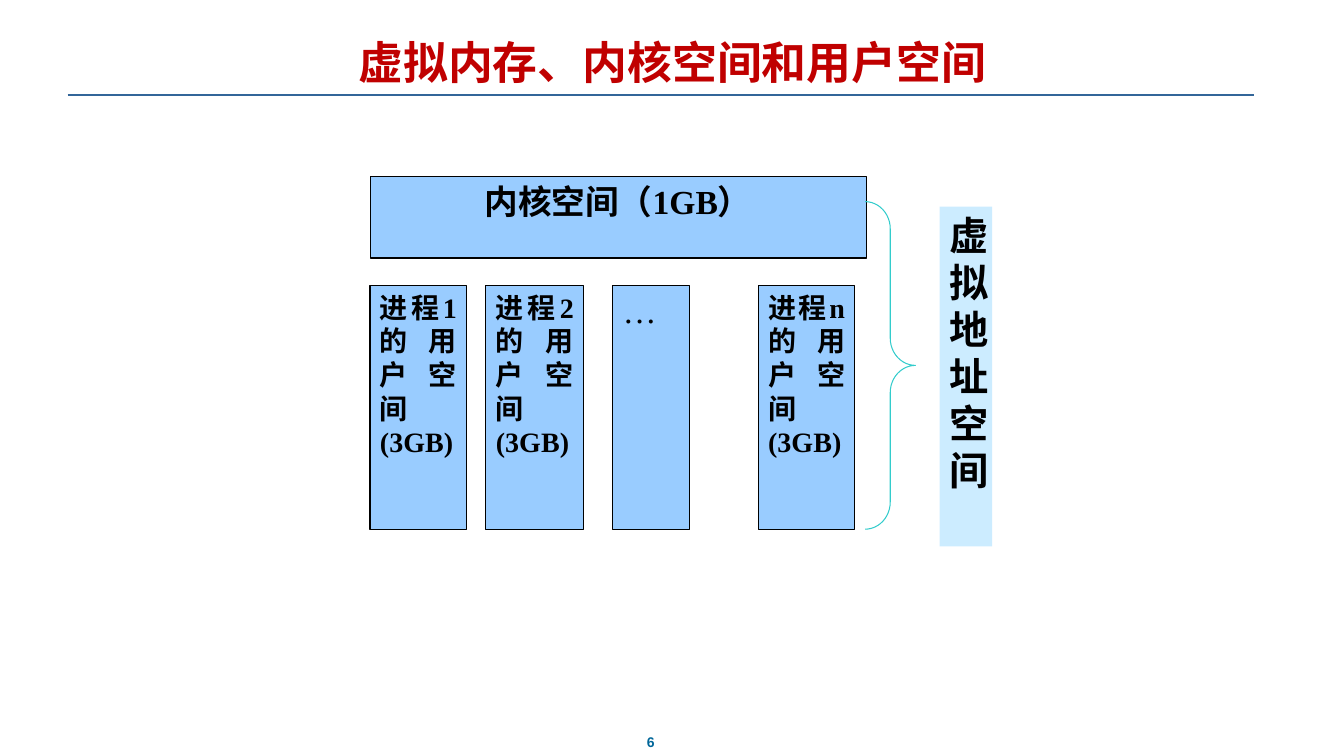
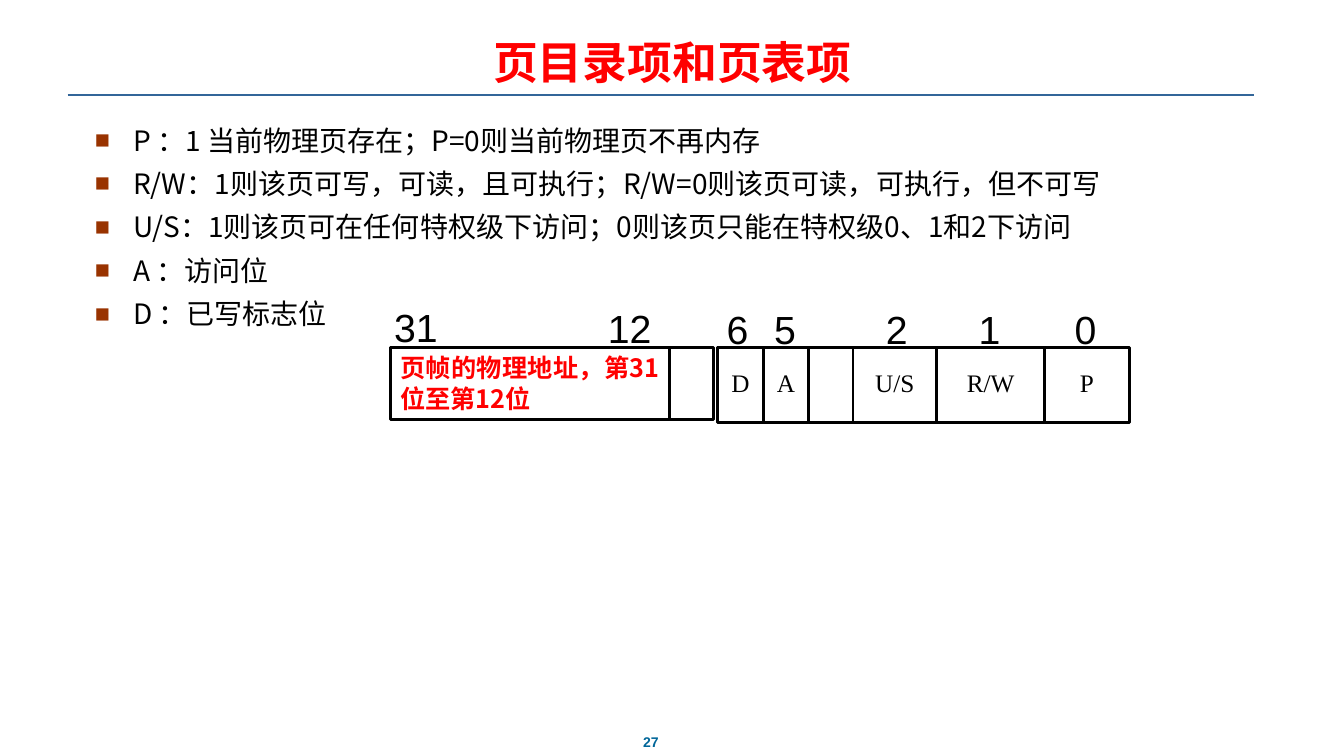
from itertools import accumulate

from lxml.etree import SubElement
from pptx import Presentation
from pptx.dml.color import RGBColor
from pptx.enum.shapes import MSO_CONNECTOR, MSO_SHAPE
from pptx.enum.text import MSO_ANCHOR, MSO_AUTO_SIZE, PP_ALIGN
from pptx.oxml.ns import qn
from pptx.util import Emu, Pt

PX = 9144  # 100 px to the inch

BLACK = RGBColor(0x00, 0x00, 0x00)
RED = RGBColor(0xFF, 0x00, 0x00)
DARK_RED = RGBColor(0xC0, 0x00, 0x00)
RULE_BLUE = RGBColor(0x33, 0x66, 0x99)
NUMBER_BLUE = RGBColor(0x00, 0x66, 0x99)
MEMORY_BLUE = RGBColor(0x99, 0xCC, 0xFF)
PALE_BLUE = RGBColor(0xCC, 0xEC, 0xFF)
TEAL = RGBColor(0x33, 0xCC, 0xCC)
BULLET_BROWN = "993300"

SANS = "Arial"
SERIF = "Times New Roman"
CJK = "Noto Sans CJK SC"
TITLE_ONLY, TITLE_AND_CONTENT = 5, 1


def px(*lengths):
    return [Emu(length * PX) for length in lengths]


def place(shape, left, top, width, height):
    shape.left, shape.top, shape.width, shape.height = px(left, top, width, height)


def style(paragraph, size, font=SERIF, color=BLACK, bold=False, align=PP_ALIGN.LEFT):
    paragraph.alignment = align
    paragraph.line_spacing = Pt(round(size * 1.2, 1))
    paragraph.font.size = Pt(size)
    paragraph.font.bold = bold
    paragraph.font.color.rgb = color
    paragraph.font.name = font
    defaults = paragraph._p.get_or_add_pPr().find(qn("a:defRPr"))
    SubElement(defaults, qn("a:ea")).set("typeface", CJK)


def write(shape, text, size, **look):
    """Fill a shape with text, one paragraph for each line."""
    frame = shape.text_frame
    frame.word_wrap = True
    frame.auto_size = MSO_AUTO_SIZE.NONE
    frame.text = text
    for paragraph in frame.paragraphs:
        style(paragraph, size, **look)


def add_box(slide, box, fill=None, line=BLACK, line_width=0.75, kind=MSO_SHAPE.RECTANGLE):
    shape = slide.shapes.add_shape(kind, *px(*box))
    shape.shadow.inherit = False
    shape.text_frame.vertical_anchor = MSO_ANCHOR.TOP
    if fill is None:
        shape.fill.background()
    else:
        shape.fill.solid()
        shape.fill.fore_color.rgb = fill
    if line is None:
        shape.line.fill.background()
    else:
        shape.line.color.rgb = line
        shape.line.width = Pt(line_width)
    return shape


def add_label(slide, box, text, size, **look):
    label = slide.shapes.add_textbox(*px(*box))
    write(label, text, size, font=SANS, align=PP_ALIGN.CENTER, **look)


def add_titled_slide(deck, layout, title, color, number):
    """Add a slide with the shared title, rule and page number."""
    slide = deck.slides.add_slide(deck.slide_layouts[layout])
    rule = slide.shapes.add_connector(MSO_CONNECTOR.STRAIGHT, *px(67, 94, 1244, 94))
    rule.line.color.rgb = RULE_BLUE
    rule.line.width = Pt(1.5)
    SubElement(rule._element.spPr, qn("a:effectLst"))
    add_label(slide, (627, 723, 37, 27), number, 10, color=NUMBER_BLUE, bold=True)
    heading = slide.shapes.title
    place(heading, 67, 30, 1200, 63)
    write(heading, title, 32, font=SANS, color=color, bold=True, align=PP_ALIGN.CENTER)
    heading.text_frame.vertical_anchor = MSO_ANCHOR.BOTTOM
    return slide


def add_bullet(paragraph):
    properties = paragraph._p.get_or_add_pPr()
    properties.set("marL", str(38 * PX))
    properties.set("indent", str(-38 * PX))
    defaults = properties.find(qn("a:defRPr"))
    color = SubElement(properties, qn("a:buClr"))
    SubElement(color, qn("a:srgbClr")).set("val", BULLET_BROWN)
    size = SubElement(properties, qn("a:buSzPct"))
    size.set("val", "90000")
    face = SubElement(properties, qn("a:buFont"))
    face.set("typeface", SANS)
    mark = SubElement(properties, qn("a:buChar"))
    mark.set("char", "■")
    for part in (color, size, face, mark):
        defaults.addprevious(part)


def add_memory_slide(deck):
    slide = add_titled_slide(
        deck, TITLE_ONLY, "虚拟内存、内核空间和用户空间", DARK_RED, "6")
    kernel = add_box(slide, (367, 175, 492, 81), MEMORY_BLUE)
    write(kernel, "内核空间（1GB）", 24, bold=True, align=PP_ALIGN.CENTER)

    for left, width, process in ((367, 96, "1"), (482, 97, "2"), (608, 76, None), (752, 96, "n")):
        user_space = add_box(slide, (left, 283, width, 242), MEMORY_BLUE)
        if process:
            write(user_space, f"进程{process}的用户空间(3GB)", 20,
                  bold=True, align=PP_ALIGN.JUSTIFY)
        else:
            write(user_space, "…", 24, align=PP_ALIGN.JUSTIFY)

    brace = add_box(slide, (858, 200, 50, 325), line=TEAL, kind=MSO_SHAPE.RIGHT_BRACE)
    brace.adjustments[0] = 0.54
    address_space = add_box(slide, (932, 205, 52, 337), PALE_BLUE, line=None)
    write(address_space, "虚拟地址空\n间", 28, bold=True)


def add_page_entry_slide(deck):
    slide = add_titled_slide(deck, TITLE_AND_CONTENT, "页目录项和页表项", RED, "27")
    flag_notes = slide.placeholders[1]
    place(flag_notes, 84, 117, 1200, 564)
    write(flag_notes, "\n".join((
        "P ：1 当前物理页存在；P=0则当前物理页不再内存",
        "R/W：1则该页可写，可读，且可执行；R/W=0则该页可读，可执行，但不可写",
        "U/S：1则该页可在任何特权级下访问；0则该页只能在特权级0、1和2下访问",
        "A ：访问位",
        "D ：已写标志位",
    )), 20, font=CJK)
    for paragraph in flag_notes.text_frame.paragraphs:
        paragraph.space_before = Pt(7)
        add_bullet(paragraph)

    address = add_box(slide, (387, 345, 277, 71), line_width=2)
    write(address, "页帧的物理地址，第31位至第12位", 18,
          font=CJK, color=RED, bold=True, align=PP_ALIGN.JUSTIFY)
    add_box(slide, (664, 345, 44, 71), line_width=2)

    flags = ("D", "A", "", "U/S", "R/W", "P")
    widths = (45, 45, 44, 83, 107, 84)
    for flag, left, width in zip(flags, accumulate(widths, initial=712), widths):
        cell = add_box(slide, (left, 345, width, 74), line_width=2)
        if flag:
            write(cell, flag, 18, align=PP_ALIGN.CENTER)
            cell.text_frame.margin_top, cell.text_frame.margin_bottom = px(19, 21)

    for bit, left, top in (("31", 375, 296), ("12", 587, 297), ("6", 694, 298), ("5", 741, 298),
                           ("2", 852, 298), ("1", 944, 298), ("0", 1039, 298)):
        add_label(slide, (left, top, 75, 57), bit, 28)


def main():
    deck = Presentation()
    deck.slide_width, deck.slide_height = px(1333, 750)
    add_memory_slide(deck)
    add_page_entry_slide(deck)
    deck.save("out.pptx")


if __name__ == "__main__":
    main()
